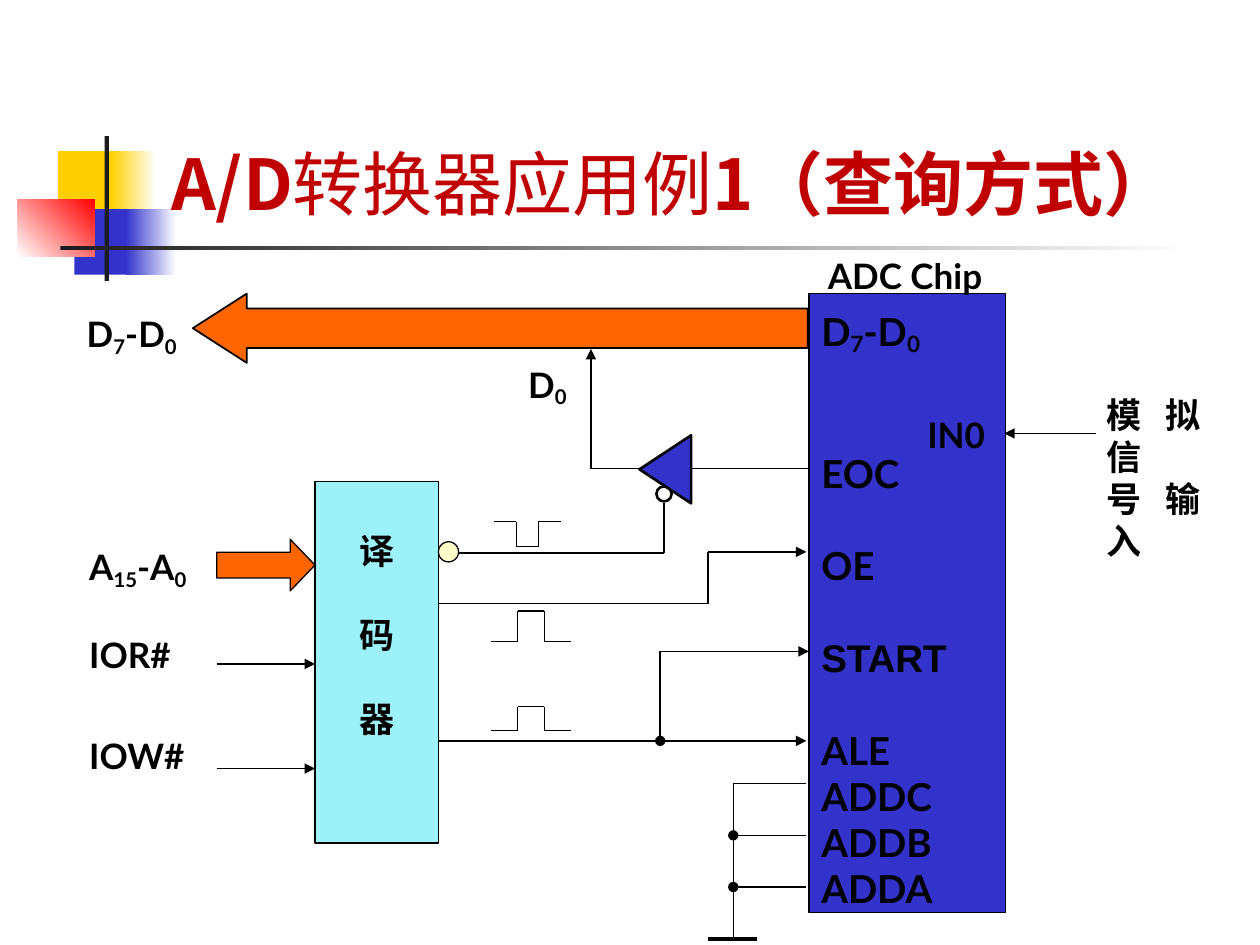
"""Builds a slide showing an A/D converter read by polling, on a 100 by 75 grid."""
from itertools import pairwise
from lxml import etree
from pptx import Presentation, util as u
from pptx.dml.color import RGBColor
from pptx.enum import shapes as sh, text as tx
from pptx.oxml import ns

THEME = dict(
    ink="000000", title="C00000", bar="1C1C1C", gold="FFCF01", blue="3333CC",
    red="FF0000", white="FFFFFF", flow="FF6600", cyan="9DF2F9", cream="FFFFCC",
    font="Lato", han="Noto Sans CJK SC", serif="Times New Roman", sans="Arial",
    head=40, pin=22, body=20, lead=1.2, thin=0.75, mid=1, bold=1.5, thick=2.25,
)
COLS, ROWS = 100, 75
KIND = sh.MSO_SHAPE
ALIGN = tx.PP_ALIGN

DECOR = [
    ((4.6, 12, 4.8, 5.2), "gold", None, 0),
    ((8.8, 12, 3.6, 5.2), "gold", "white", 0),
    ((5.9, 16.6, 4.6, 5.2), "blue", None, 0),
    ((10, 16.6, 4, 5.2), "blue", "white", 0),
    ((1.4, 15.8, 6.1, 4.6), "white", "red", 45),
    ((8.3, 10.8, 0.35, 11.5), "bar", None, 0),
    ((4.8, 19.5, 90, 0.35), "bar", "white", 0),
]
PARTS = [
    (KIND.LEFT_ARROW, (15.3, 23.3, 48.8, 5.5), "flow", "mid", 0, (0.57, 0.78)),
    (KIND.RECTANGLE, (64.2, 23.3, 15.6, 49.1), "blue", "thin", 0, ()),
    (KIND.RIGHT_ARROW, (17.2, 42.8, 7.8, 4.1), "flow", "thin", 0, (0.5, 0.48)),
    (KIND.RECTANGLE, (25, 38.2, 9.8, 28.7), "cyan", "thin", 0, ()),
    (KIND.OVAL, (52.1, 38.6, 1.2, 1.2), None, "bold", 0, ()),
    (KIND.ISOSCELES_TRIANGLE, (50.1, 35.2, 5.4, 4.1), "blue", "bold", 270, ()),
    (KIND.OVAL, (34.8, 43, 1.6, 1.6), "cream", "thin", 0, ()),
]
WIRES = [
    ([(54.8, 37.2), (64.2, 37.2)], None, "thin"),
    ([(50.7, 37.2), (46.9, 37.2), (46.9, 27.7)], "triangle", "thin"),
    ([(36.4, 43.9), (52.7, 43.9), (52.7, 39.9)], None, "thin"),
    ([(34.8, 47.9), (56.2, 47.9), (56.2, 43.8), (64, 43.8)], "triangle", "thin"),
    ([(34.8, 58.8), (64, 58.8)], "triangle", "thin"),
    ([(52.4, 51.7), (64.2, 51.7)], "triangle", "thin"),
    ([(52.4, 51.7), (52.4, 58.8)], "oval", "mid"),
    ([(17.2, 52.7), (25, 52.7)], "triangle", "thin"),
    ([(17.2, 61), (25, 61)], "triangle", "thin"),
    ([(87, 34.4), (79.7, 34.4)], "triangle", "thin"),
    ([(64, 62.2), (58.2, 62.2), (58.2, 74.5)], None, "thin"),
    ([(64, 66.3), (58.2, 66.3)], "oval", "thin"),
    ([(64, 70.4), (58.2, 70.4)], "oval", "thin"),
    ([(56.2, 74.5), (60.1, 74.5)], None, "thick"),
]
PULSES = [(39.2, 1.77, 41.4, 43.4), (39, 2.1, 50.9, 48.5), (39, 2.1, 58, 56.1)]

BUS = ("D", "7", "-D", "0")
PINS = [(BUS, 0), (("EOC",), 2), (("OE",), 1), (("START",), 1), (("ALE",), 1),
        (("ADDC",), 0), (("ADDB",), 0), (("ADDA",), 0)]
INPUTS = [(("A", "15", "-A", "0"), 0), (("IOR#",), 1), (("IOW#",), 1.4)]
DECODER = [(("译",), 0), (("码",), 1), (("器",), 1)]
ANALOG = [(("模拟信",), 0), (("号输入",), 0)]
SLIM, WIDE = (0, 0, 0, 0), (1, 0.5, 1, 0.5)
LABELS = [
    ((41.3, 29.1, 4.3, 3), SLIM, [(("D", "0"), 0)], "body", "font", ALIGN.CENTER),
    ((6.1, 43.1, 11.7, 22.5), WIDE, INPUTS, "body", "font", ALIGN.LEFT),
    ((5.9, 24.6, 11, 4.1), WIDE, [(BUS, 0)], "body", "font", ALIGN.LEFT),
    ((64.2, 24.2, 12.9, 48.5), WIDE, PINS, "pin", "font", ALIGN.LEFT),
    ((25, 42, 9.8, 20), SLIM, DECODER, "body", "serif", ALIGN.CENTER),
    ((65.7, 20.2, 13.4, 3.2), SLIM, [(("ADC Chip",), 0)], "body", "font", ALIGN.LEFT),
    ((87.8, 31.2, 7.5, 6.3), SLIM, ANALOG, "body", "font", ALIGN.JUSTIFY),
    ((73.6, 32.8, 5.4, 3.9), SLIM, [(("IN0",), 0)], "body", "font", ALIGN.LEFT),
]
TITLE = [("A/D", True), ("转换器应用例", False), ("1（查询方式）", True)]

deck = Presentation()
deck.slide_width, deck.slide_height = u.Inches(10), u.Inches(7.5)
slide = deck.slides.add_slide(deck.slide_layouts[6])
CELL = deck.slide_width / COLS


def span(*nums):
    return [round(n * CELL) for n in nums]


def hue(name):
    return RGBColor.from_string(THEME[name])


def paint(fill, name):
    if name:
        fill.solid()
        fill.fore_color.rgb = hue(name)
    else:
        fill.background()


def part(kind, box, name, width=None, turn=0, adj=()):
    item = slide.shapes.add_shape(kind, *span(*box))
    item.shadow.inherit = False
    item.rotation = turn
    paint(item.fill, name)
    paint(item.line.fill, "ink" if width else None)
    if width:
        item.line.width = u.Pt(THEME[width])
    for i, val in enumerate(adj):
        item.adjustments[i] = val
    return item


def fade(item, first, last, angle):
    item.fill.gradient()
    item.fill.gradient_angle = angle
    for stop, name in zip(item.fill.gradient_stops, (first, last)):
        stop.color.rgb = hue(name)


def wire(points, tip, width):
    for start, end in pairwise(points):
        item = slide.shapes.add_connector(sh.MSO_CONNECTOR.STRAIGHT, *span(*start, *end))
        item.line.width = u.Pt(THEME[width])
        item.line.color.rgb = hue("ink")
        if tip and end == points[-1]:
            etree.SubElement(item.line._get_or_add_ln(), ns.qn("a:tailEnd"), type=tip)
        etree.SubElement(item._element.spPr, ns.qn("a:effectLst"))


def pulse(left, step, base, peak):
    a, b, c, d = (left + i * step for i in range(4))
    wire([(a, base), (b, base), (b, peak), (c, peak), (c, base), (d, base)], None, "thin")


def frame(box, pad):
    area = slide.shapes.add_textbox(*span(*box)).text_frame
    area.word_wrap = True
    area.margin_left, area.margin_top, area.margin_right, area.margin_bottom = span(*pad)
    return area


def style(para, size, face, tone):
    para.font.size, para.font.name = u.Pt(THEME[size]), THEME[face]
    para.font.color.rgb = hue(tone)
    para.line_spacing = u.Pt(THEME[size] * THEME["lead"])


def label(box, pad, rows, size, face, align):
    area = frame(box, pad)
    for i, (bits, gap) in enumerate(rows):
        para = area.add_paragraph() if i else area.paragraphs[0]
        style(para, size, "sans" if bits == ("START",) else face, "ink")
        para.font.bold = True
        para.alignment = align
        para.space_before = u.Pt(gap * THEME[size] * THEME["lead"])
        for j, bit in enumerate(bits):
            run = para.add_run()
            run.text = bit
            if j % 2:
                run._r.get_or_add_rPr().set("baseline", "-18000")


def title():
    area = frame((12.6, 2.3, 85.2, 16), WIDE)
    area.vertical_anchor = tx.MSO_ANCHOR.BOTTOM
    para = area.paragraphs[0]
    style(para, "head", "han", "title")
    for words, bold in TITLE:
        run = para.add_run()
        run.text, run.font.bold = words, bold


for box, first, last, angle in DECOR:
    block = part(KIND.RECTANGLE, box, first)
    if last:
        fade(block, first, last, angle)
for row in WIRES:
    wire(*row)
for row in PULSES:
    pulse(*row)
for row in PARTS:
    part(*row)
for row in LABELS:
    label(*row)
title()
deck.save("out.pptx")
